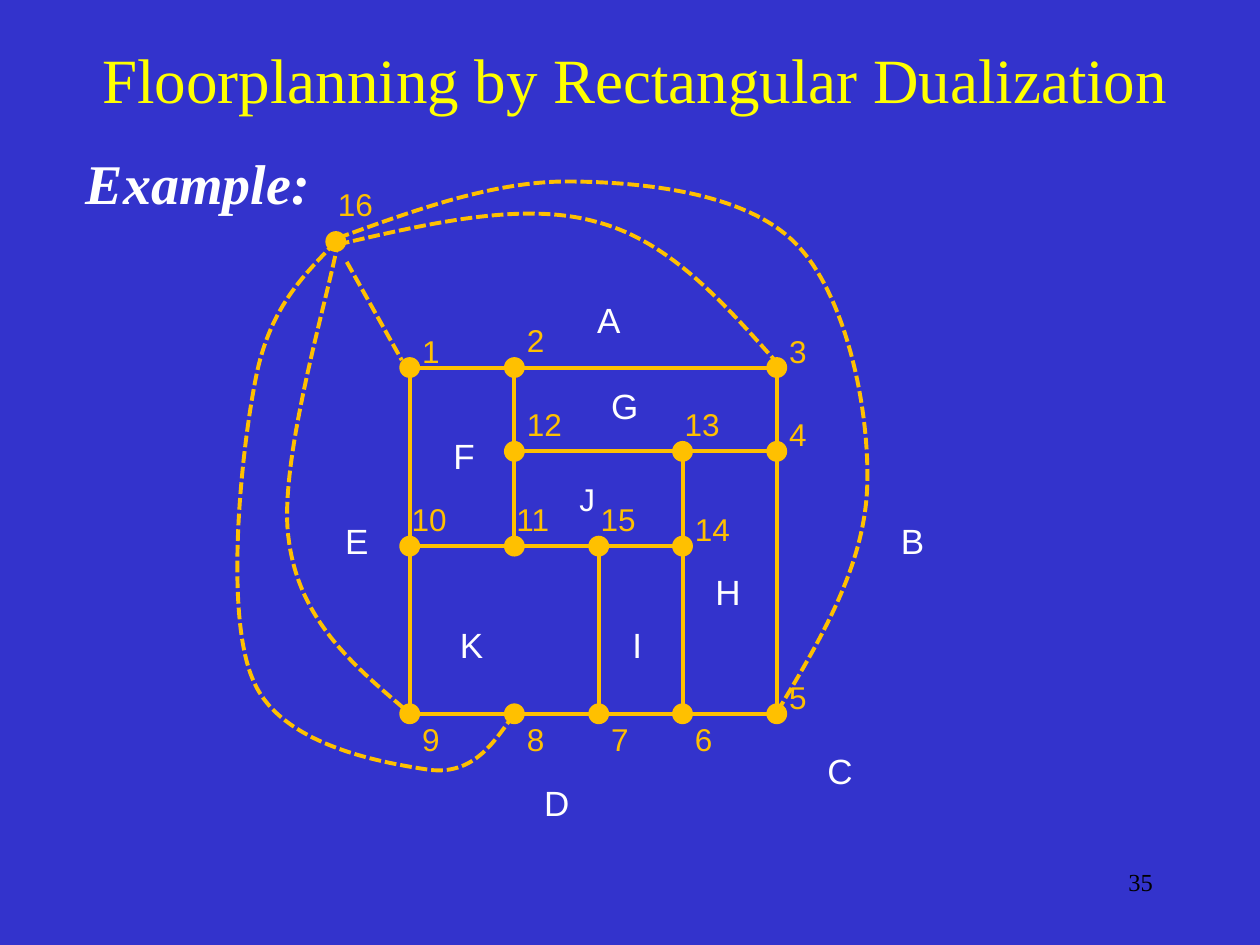
import pptx
import pptx.dml.color
import pptx.enum.dml
import pptx.enum.shapes
import pptx.enum.text
import pptx.oxml.ns
import pptx.util

Cm = pptx.util.Cm
Align = pptx.enum.text.PP_ALIGN
Anchor = pptx.enum.text.MSO_ANCHOR

GOLD, WHITE, YELLOW, BLACK, BLUE = "FFC000", "FFFFFF", "FFFF00", "000000", "3333CC"
SERIF, SANS = "Times New Roman", "Arial"
DOT = 0.42

# Columns and rows of the floorplan, in centimetres
X1, X2, X3, X4, X5 = 8.26, 10.37, 12.07, 13.76, 15.66
Y1, Y2, Y3, Y4 = 7.41, 9.1, 11.01, 14.39

# Ways a number sits beside its node
RIGHT, ABOVE, ABOVE_RIGHT, BELOW = (0, -0.85), (-0.21, -1.06), (0, -1.06), (0, 0)
NODES = {
    1: (X1, Y1, RIGHT), 2: (X2, Y1, ABOVE_RIGHT), 3: (X5, Y1, RIGHT),
    4: (X5, Y2, RIGHT), 5: (X5, Y4, RIGHT), 6: (X4, Y4, BELOW),
    7: (X3, Y4, BELOW), 8: (X2, Y4, BELOW), 9: (X1, Y4, BELOW),
    10: (X1, Y3, ABOVE), 11: (X2, Y3, ABOVE), 12: (X2, Y2, ABOVE_RIGHT),
    13: (X4, Y2, ABOVE), 14: (X4, Y3, RIGHT), 15: (X3, Y3, ABOVE),
    16: (6.77, 4.87, (-0.21, -1.27)),
}
WALLS = [(1, 10), (10, 9), (1, 2), (2, 3), (2, 12), (12, 11), (10, 14),
         (12, 4), (9, 5), (3, 5), (15, 7), (13, 6)]
REGIONS = {
    "A": (11.79, 5.89), "B": (17.91, 10.34), "C": (16.43, 14.99),
    "D": (10.72, 15.62), "E": (6.71, 10.34), "F": (8.89, 8.64),
    "G": (12.07, 7.62), "H": (14.17, 11.38), "I": (12.5, 12.45),
    "J": (11.43, 9.55), "K": (9.02, 12.45),
}
# Curves joining node 16 to nodes 3, 9, 5 and 8: a start, then Bezier triples
CURVES = [
    [(6.81, 4.93), (8.66, 4.5), (10.54, 4.06), (12.01, 4.47),
     (13.49, 4.85), (14.58, 6.1), (15.67, 7.32)],
    [(8.13, 14.27), (7.06, 13.36), (6.02, 12.45), (5.82, 10.87),
     (5.59, 9.3), (6.68, 5.77), (6.81, 4.88)],
    [(6.81, 4.8), (8.41, 4.22), (10.01, 3.63), (11.56, 3.66),
     (13.08, 3.68), (15.11, 3.91), (16.08, 4.95),
     (17.07, 5.99), (17.55, 8.31), (17.48, 9.88),
     (17.4, 11.48), (16.51, 12.95), (15.62, 14.43)],
    [(10.36, 14.4), (9.93, 15.01), (9.53, 15.62), (8.66, 15.52),
     (7.8, 15.39), (5.72, 15.06), (5.13, 13.77),
     (4.52, 12.5), (4.85, 9.25), (5.13, 7.77),
     (5.38, 6.32), (6.02, 5.66), (6.65, 5.0)],
]


def color(value):
    return pptx.dml.color.RGBColor.from_string(value)


class Drawing:
    """Holds the line style and the page being drawn."""

    line_color, line_width = GOLD, pptx.util.Pt(2.25)

    def __init__(self, page):
        self.page = page
        self.shapes = page.shapes

    def background(self, value):
        fill = self.page.background.fill
        fill.solid()
        fill.fore_color.rgb = color(value)

    def fill_text(self, box, text, size, value, name=SANS, align=Align.LEFT,
                  anchor=Anchor.TOP, **style):
        frame = box.text_frame
        frame.word_wrap = True
        frame.vertical_anchor = anchor
        para = frame.paragraphs[0]
        para.alignment = align
        span = para.add_run()
        span.text = text
        formats = {"name": name, "size": pptx.util.Pt(size), **style}
        for key, setting in formats.items():
            setattr(span.font, key, setting)
        span.font.color.rgb = color(value)

    def title(self, text, left, top, width, height):
        box = self.shapes.title
        places = {"left": left, "top": top, "width": width, "height": height}
        for key, length in places.items():
            setattr(box, key, Cm(length))
        self.fill_text(box, text, 36, YELLOW, SERIF, Align.CENTER, Anchor.MIDDLE)

    def label(self, text, left, top, width, height, size, value, **style):
        box = self.shapes.add_textbox(Cm(left), Cm(top), Cm(width), Cm(height))
        self.fill_text(box, text, size, value, **style)

    def dot(self, x, y):
        shape = self.shapes.add_shape(
            pptx.enum.shapes.MSO_SHAPE.OVAL,
            Cm(x - DOT / 2), Cm(y - DOT / 2), Cm(DOT), Cm(DOT))
        shape.shadow.inherit = False
        shape.fill.solid()
        shape.fill.fore_color.rgb = color(GOLD)
        shape.line.fill.background()

    def stroke(self, shape, dashed):
        shape.line.color.rgb = color(self.line_color)
        shape.line.width = self.line_width
        if dashed:
            shape.line.dash_style = pptx.enum.dml.MSO_LINE.SQUARE_DOT

    def line(self, start, end, dashed=False):
        connector = self.shapes.add_connector(
            pptx.enum.shapes.MSO_CONNECTOR.STRAIGHT,
            *(Cm(length) for length in (*start, *end)))
        self.stroke(connector, dashed)
        effects = pptx.oxml.ns.qn("a:effectLst")
        properties = connector._element.spPr
        properties.append(properties.makeelement(effects, {}))

    def curve(self, points):
        """Build an outline through the points, then bend each three into a Bezier."""
        start, *rest = [(Cm(x), Cm(y)) for x, y in points]
        builder = self.shapes.build_freeform(*start)
        builder.add_line_segments(rest, close=False)
        shape = builder.convert_to_shape()
        shape.shadow.inherit = False
        shape.fill.background()
        self.stroke(shape, dashed=True)
        segments = shape._element.xpath(".//a:lnTo")
        for first in range(0, len(segments), 3):
            bend, *others = segments[first:first + 3]
            bezier = bend.makeelement(pptx.oxml.ns.qn("a:cubicBezTo"), {})
            bend.addprevious(bezier)
            for segment in (bend, *others):
                bezier.append(segment[0])
                segment.getparent().remove(segment)


def main():
    deck = pptx.Presentation()
    deck.slide_width, deck.slide_height = Cm(25.4), Cm(19.05)
    drawing = Drawing(deck.slides.add_slide(deck.slide_layouts[5]))
    drawing.background(BLUE)
    drawing.title("Floorplanning by Rectangular Dualization", 0.42, 0.21, 24.77, 2.75)
    drawing.label("Example:", 1.48, 2.87, 5.72, 1.58, 32, WHITE,
                  name=SERIF, bold=True, italic=True)

    for name, (left, top) in REGIONS.items():
        drawing.label(name, left, top, 1.07, 1.12, 18 if name == "J" else 20, WHITE)
    for number, (x, y, (right, down)) in NODES.items():
        drawing.dot(x, y)
        width = 1.27 if number > 9 else 1.07
        drawing.label(str(number), x + right, y + down, width, 1.02, 18, GOLD)

    for start, end in WALLS:
        drawing.line(NODES[start][:2], NODES[end][:2])
    drawing.line((6.99, 5.28), (8.1, 7.26), dashed=True)
    for points in CURVES:
        drawing.curve(points)

    drawing.label("35", 18.2, 17.36, 5.29, 1.27, 14, BLACK,
                  name=SERIF, align=Align.RIGHT)
    deck.save("out.pptx")


if __name__ == "__main__":
    main()
